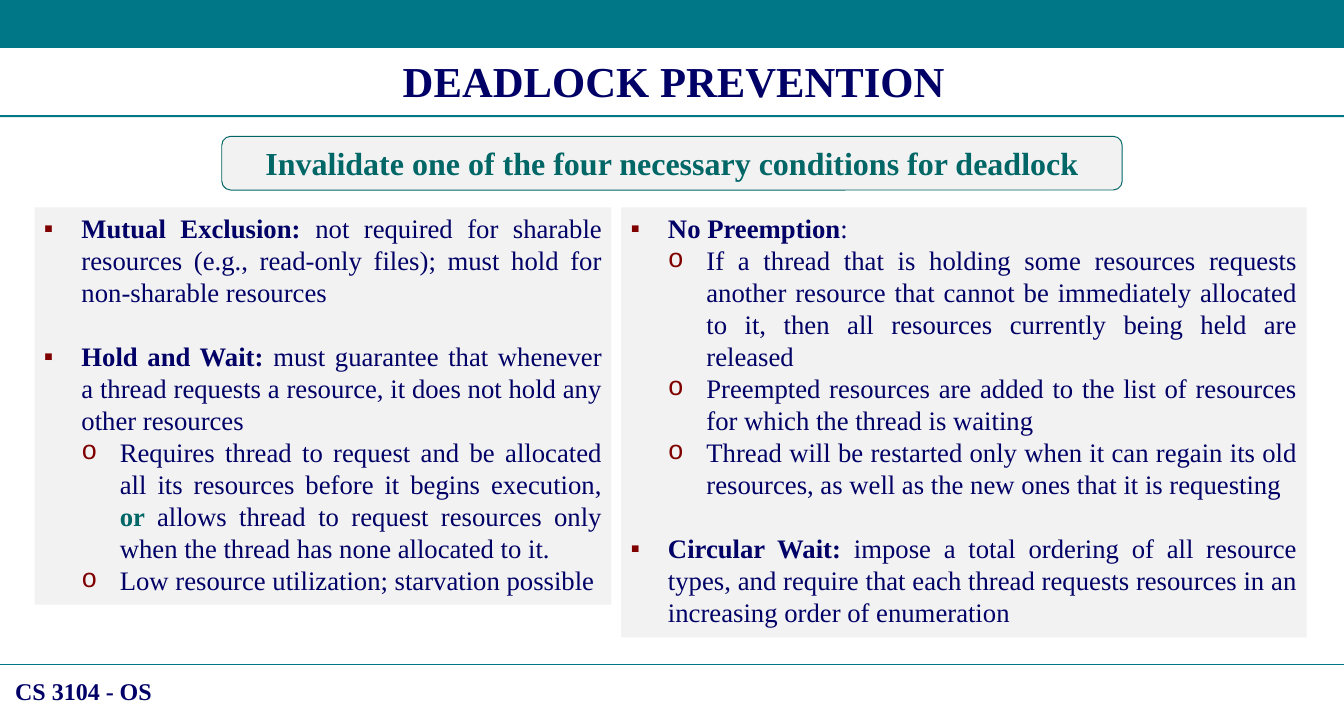
from lxml import etree
from pptx import Presentation
from pptx.dml.color import RGBColor
from pptx.enum.shapes import MSO_CONNECTOR, MSO_SHAPE
from pptx.enum.text import MSO_ANCHOR, PP_ALIGN
from pptx.oxml.ns import qn
from pptx.util import Inches, Pt

RECTANGLE, ROUNDED = MSO_SHAPE.RECTANGLE, MSO_SHAPE.ROUNDED_RECTANGLE
LEFT, CENTER, JUSTIFY = PP_ALIGN.LEFT, PP_ALIGN.CENTER, PP_ALIGN.JUSTIFY
TOP, MIDDLE = MSO_ANCHOR.TOP, MSO_ANCHOR.MIDDLE

WIDTH, HEIGHT = 14, 7.5
FONT = "Times New Roman"
COLORS = {"teal": "007787", "navy": "000066", "green": "006666",
          "maroon": "800000", "panel": "F2F2F2"}

TITLE = "DEADLOCK PREVENTION"
BANNER = "Invalidate one of the four necessary conditions for deadlock"
FOOTER = "CS 3104 - OS"

# Each paragraph is (level, runs); each run is (text, style).
LEFT_COLUMN = [
    (0, [("Mutual Exclusion: ", "bold"),
         ("not required for sharable resources (e.g., read-only files); "
          "must hold for non-sharable resources", "plain")]),
    (0, [("Hold and Wait: ", "bold"),
         ("must guarantee that whenever a thread requests a resource, "
          "it does not hold any other resources", "plain")]),
    (1, [("Requires thread to request and be allocated all its resources "
          "before it begins execution, ", "plain"),
         ("or ", "accent"),
         ("allows thread to request resources only when the thread has "
          "none allocated to it.", "plain")]),
    (1, [("Low resource utilization; starvation possible", "plain")]),
]
RIGHT_COLUMN = [
    (0, [("No Preemption", "bold"), (":", "plain")]),
    (1, [("If a thread that is holding some resources requests another "
          "resource that cannot be immediately allocated to it, then all "
          "resources currently being held are released", "plain")]),
    (1, [("Preempted resources are added to the list of resources for "
          "which the thread is waiting", "plain")]),
    (1, [("Thread will be restarted only when it can regain its old "
          "resources, as well as the new ones that it is requesting",
          "plain")]),
    (0, [("Circular Wait: ", "bold"),
         ("impose a total ordering of all resource types, and require that "
          "each thread requests resources in an increasing order of "
          "enumeration", "plain")]),
]
STYLES = {"bold": (True, "navy"), "plain": (False, "navy"),
          "accent": (True, "green")}
# Level: (left margin, hanging indent, bullet character, bullet font)
BULLETS = [(0.39, 0.39, "▪", "Arial"), (0.79, 0.4, "o", "Courier New")]
TOPIC_GAP = 24

COLUMN_TOP, MARGIN, GUTTER = 2.16, 0.36, 0.1
LEFT_WIDTH = 6.01
RIGHT_START = MARGIN + LEFT_WIDTH + GUTTER
RIGHT_WIDTH = WIDTH - RIGHT_START - MARGIN - 0.03
BANNER_WIDTH = WIDTH * 0.67


def rgb(name):
    return RGBColor.from_string(COLORS[name])


def add_panel(slide, kind, box, fill, line=None):
    shape = slide.shapes.add_shape(kind, *map(Inches, box))
    shape.shadow.inherit = False
    shape.fill.solid()
    shape.fill.fore_color.rgb = rgb(fill)
    if line:
        shape.line.color.rgb = rgb(line)
        shape.line.width = Pt(0.75)
    else:
        shape.line.fill.background()
    return shape


def add_bullet(paragraph, level):
    margin, hanging, character, font = BULLETS[level]
    properties = paragraph._p.get_or_add_pPr()
    properties.set("marL", str(Inches(margin)))
    properties.set("indent", str(-Inches(hanging)))
    color = etree.SubElement(properties, qn("a:buClr"))
    etree.SubElement(color, qn("a:srgbClr"), val=COLORS["maroon"])
    etree.SubElement(properties, qn("a:buFont"), typeface=font)
    etree.SubElement(properties, qn("a:buChar"), char=character)
    paragraph.level = level


def write_run(paragraph, text, *, size, color="navy", bold=True):
    run = paragraph.add_run()
    run.text = text
    run.font.name = FONT
    run.font.size = Pt(size)
    run.font.bold = bold
    run.font.color.rgb = rgb(color)


def prepare_frame(shape, anchor):
    frame = shape.text_frame
    frame.word_wrap = True
    frame.vertical_anchor = anchor
    return frame


def write_label(shape, text, *, align=CENTER, anchor=MIDDLE, **font):
    paragraph = prepare_frame(shape, anchor).paragraphs[0]
    paragraph.alignment = align
    write_run(paragraph, text, **font)


def write_column(shape, content):
    frame = prepare_frame(shape, TOP)
    for index, (level, runs) in enumerate(content):
        paragraph = frame.add_paragraph() if index else frame.paragraphs[0]
        add_bullet(paragraph, level)
        paragraph.alignment = JUSTIFY
        if index and level == 0:
            paragraph.space_before = Pt(TOPIC_GAP)
        for text, style in runs:
            bold, color = STYLES[style]
            write_run(paragraph, text, size=20, bold=bold, color=color)


def add_rule(slide, top):
    rule = slide.shapes.add_connector(
        MSO_CONNECTOR.STRAIGHT, 0, Inches(top), Inches(WIDTH), Inches(top))
    rule.line.color.rgb = rgb("teal")
    rule.line.width = Pt(1)
    etree.SubElement(rule._element.spPr, qn("a:effectLst"))


def main():
    presentation = Presentation()
    presentation.slide_width = Inches(WIDTH)
    presentation.slide_height = Inches(HEIGHT)
    slide = presentation.slides.add_slide(presentation.slide_layouts[6])

    add_panel(slide, RECTANGLE, (0, 0, WIDTH, 0.5), "teal")
    add_rule(slide, 6.92)
    add_panel(slide, RECTANGLE, (0, 1.2, WIDTH, 0.02), "teal")

    footer = slide.shapes.add_textbox(*map(Inches, (0.06, 7, 1.8, 0.4)))
    write_label(footer, FOOTER, size=18, align=LEFT, anchor=TOP)
    title = slide.shapes.add_textbox(*map(Inches, (0.13, 0.52, 13.78, 0.64)))
    write_label(title, TITLE, size=32)

    banner_box = ((WIDTH - BANNER_WIDTH) / 2, 1.42, BANNER_WIDTH, 0.56)
    banner = add_panel(slide, ROUNDED, banner_box, "panel", line="green")
    write_label(banner, BANNER, size=24, color="green")

    columns = [(MARGIN, LEFT_WIDTH, 4.14, LEFT_COLUMN),
               (RIGHT_START, RIGHT_WIDTH, 4.48, RIGHT_COLUMN)]
    for left, width, height, content in columns:
        panel = add_panel(slide, RECTANGLE,
                          (left, COLUMN_TOP, width, height), "panel")
        write_column(panel, content)

    presentation.save("out.pptx")


if __name__ == "__main__":
    main()
